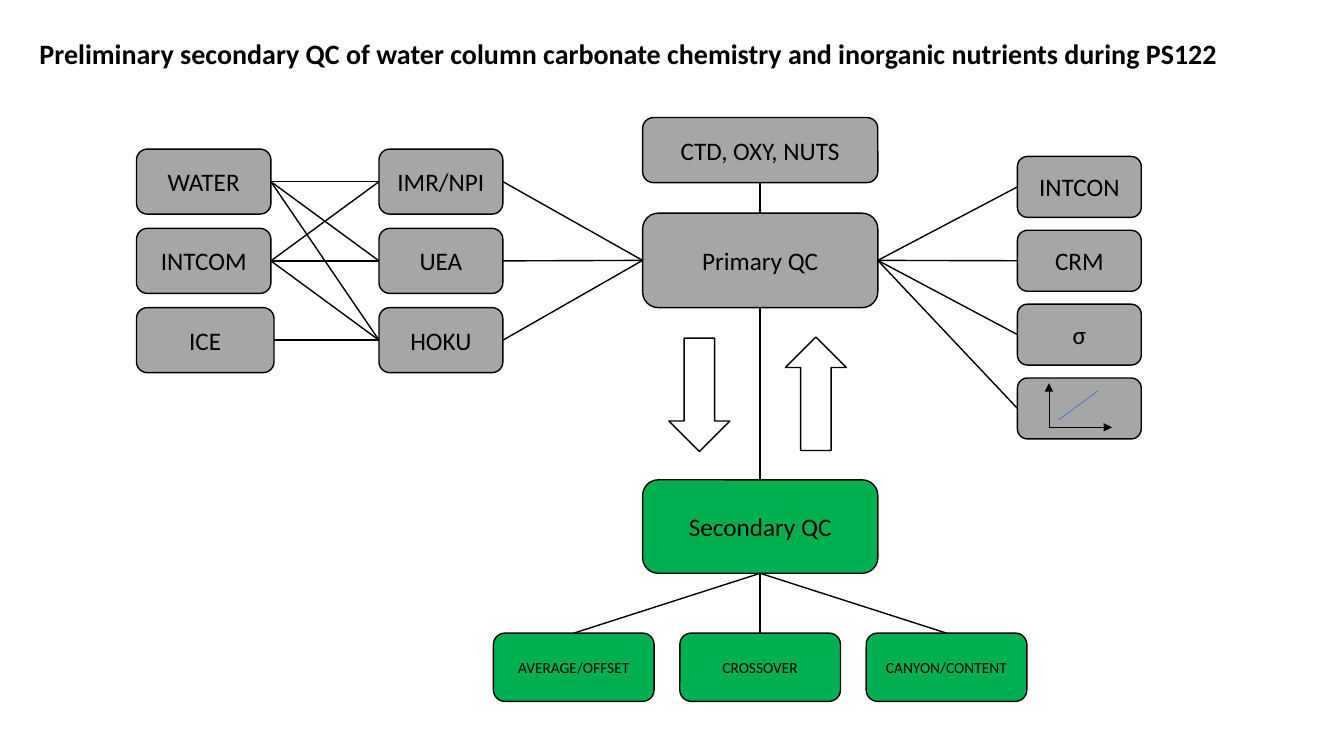
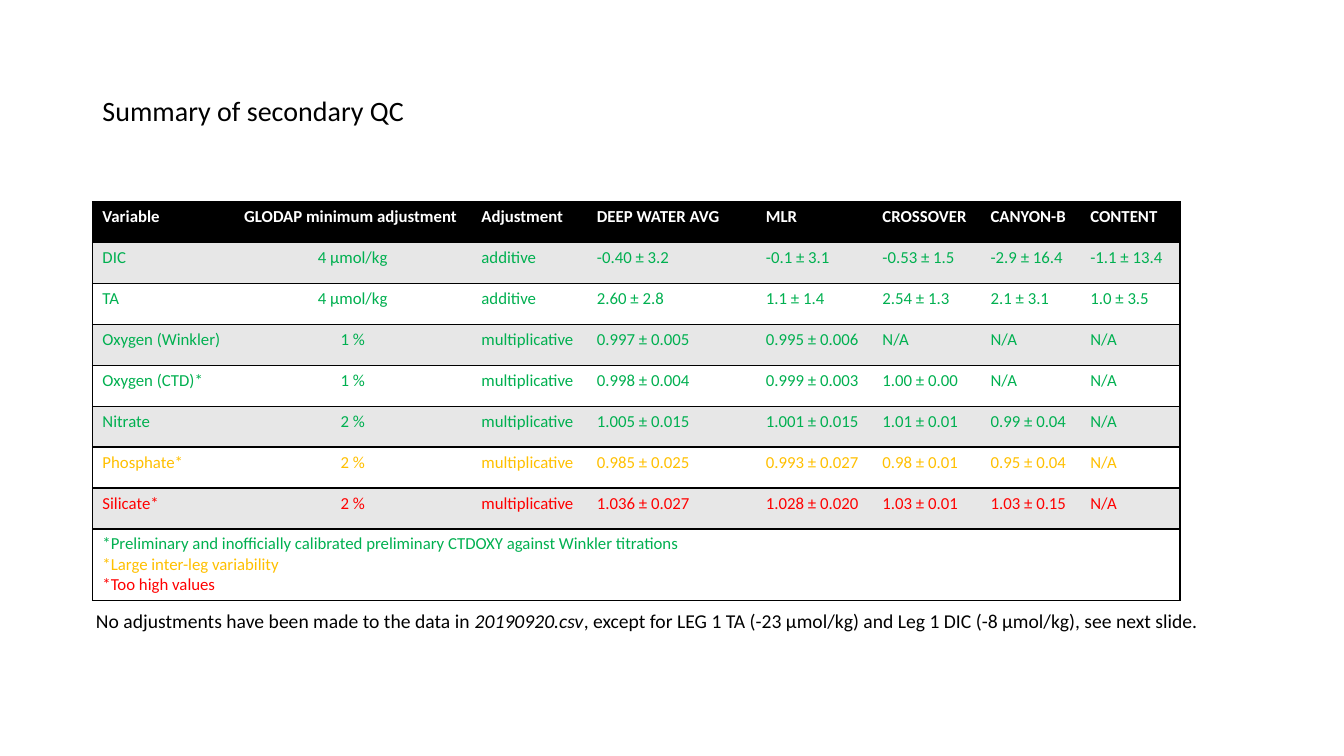
from dataclasses import dataclass
from lxml import etree
from pptx import Presentation
from pptx.dml.color import RGBColor
from pptx.enum.shapes import MSO_CONNECTOR, MSO_SHAPE
from pptx.enum.text import MSO_ANCHOR, MSO_AUTO_SIZE, PP_ALIGN
from pptx.oxml.ns import qn
from pptx.util import Emu, Pt

ROUND, ARROW = MSO_SHAPE.ROUNDED_RECTANGLE, MSO_SHAPE.RIGHT_ARROW
STRAIGHT = MSO_CONNECTOR.STRAIGHT
MIDDLE = MSO_ANCHOR.MIDDLE
LEFT, CENTER = PP_ALIGN.LEFT, PP_ALIGN.CENTER
FIXED, GROW = MSO_AUTO_SIZE.NONE, MSO_AUTO_SIZE.SHAPE_TO_FIT_TEXT
TOP, WEST, BOTTOM, EAST = range(4)
SCALE = 9525


@dataclass(frozen=True)
class Theme:
    font: str = "Calibri"
    black: str = "000000"
    white: str = "FFFFFF"
    gray: str = "A6A6A6"
    band: str = "E7E7E7"
    green: str = "00B050"
    amber: str = "FFC000"
    red: str = "FF0000"
    blue: str = "4472C4"
    head: int = 20
    label: int = 18
    note: int = 14
    cell: int = 12
    small: int = 11
    line: float = 1
    thin: float = 0.5


T = Theme()

SOURCES = [("WATER", 128), ("INTCOM", 128), ("ICE", 131)]
LABS = [("IMR/NPI", 118), ("UEA", 118), ("HOKU", 118)]
CHECKS = [("INTCON", 118), ("CRM", 118), ("σ", 118), ("", 118)]
TESTS = ["AVERAGE/OFFSET", "CROSSOVER", "CANYON/CONTENT"]
PAIRS = [(0, 0), (0, 1), (0, 2), (1, 0), (1, 1), (1, 2), (2, 2)]

COLS = [135, 226, 110, 161, 111, 103, 95, 95]
ROWS = [
    (T.white, ["Variable", "GLODAP minimum adjustment", "Adjustment", "DEEP WATER AVG",
               "MLR", "CROSSOVER", "CANYON-B", "CONTENT"]),
    (T.green, ["DIC", "4 µmol/kg", "additive", "-0.40 ± 3.2",
               "-0.1 ± 3.1", "-0.53 ± 1.5", "-2.9 ± 16.4", "-1.1 ± 13.4"]),
    (T.green, ["TA", "4 µmol/kg", "additive", "2.60 ± 2.8",
               "1.1 ± 1.4", "2.54 ± 1.3", "2.1 ± 3.1", "1.0 ± 3.5"]),
    (T.green, ["Oxygen (Winkler)", "1 %", "multiplicative", "0.997 ± 0.005",
               "0.995 ± 0.006", "N/A", "N/A", "N/A"]),
    (T.green, ["Oxygen (CTD)*", "1 %", "multiplicative", "0.998 ± 0.004",
               "0.999 ± 0.003", "1.00 ± 0.00", "N/A", "N/A"]),
    (T.green, ["Nitrate", "2 %", "multiplicative", "1.005 ± 0.015",
               "1.001 ± 0.015", "1.01 ± 0.01", "0.99 ± 0.04", "N/A"]),
    (T.amber, ["Phosphate*", "2 %", "multiplicative", "0.985 ± 0.025",
               "0.993 ± 0.027", "0.98 ± 0.01", "0.95 ± 0.04", "N/A"]),
    (T.red, ["Silicate*", "2 %", "multiplicative", "1.036 ± 0.027",
             "1.028 ± 0.020", "1.03 ± 0.01", "1.03 ± 0.15", "N/A"]),
]
NOTES = [
    (T.green, "*Preliminary and inofficially calibrated preliminary CTDOXY against Winkler titrations"),
    (T.amber, "*Large inter-leg variability"),
    (T.red, "*Too high values"),
]


def px(n):
    return Emu(round(n * SCALE))


def rgb(code):
    return RGBColor.from_string(code)


def write(para, text, size, color=T.black, bold=False, italic=False):
    run = para.add_run()
    run.text = text
    font = run.font
    font.name, font.size = T.font, Pt(size)
    font.bold, font.italic = bold, italic
    font.color.rgb = rgb(color)


def title(slide, box, text, bold=False):
    shape = slide.shapes.title
    shape.left, shape.top, shape.width, shape.height = map(px, box)
    frame = shape.text_frame
    frame.word_wrap, frame.auto_size = True, FIXED
    frame.vertical_anchor = MIDDLE
    para = frame.paragraphs[0]
    para.alignment, para.line_spacing = LEFT, 0.9
    write(para, text, T.head, bold=bold)


def block(slide, box, fill, text="", size=T.label, kind=ROUND):
    shape = slide.shapes.add_shape(kind, *map(px, box))
    shape.shadow.inherit = False
    shape.fill.solid()
    shape.fill.fore_color.rgb = rgb(fill)
    shape.line.color.rgb = rgb(T.black)
    shape.line.width = Pt(T.line)
    if text:
        frame = shape.text_frame
        frame.word_wrap, frame.vertical_anchor = True, MIDDLE
        para = frame.paragraphs[0]
        para.alignment = CENTER
        write(para, text, size)
    return shape


def wire(shapes, ends=(0, 0, 0, 0), color=T.black, width=T.line, tip=False):
    line = shapes.add_connector(STRAIGHT, *map(px, ends))
    line.line.color.rgb = rgb(color)
    line.line.width = Pt(width)
    if tip:
        etree.SubElement(line.line._get_or_add_ln(), qn("a:tailEnd"), type="triangle")
    etree.SubElement(line._element.spPr, qn("a:effectLst"))
    return line


def link(slide, start, side, stop, face):
    line = wire(slide.shapes)
    line.begin_connect(start, side)
    line.end_connect(stop, face)


def stack(slide, box, high, items):
    x, y, tall = box
    step = (tall - high) / (len(items) - 1)
    return [block(slide, (x, y + i * step, wide, high), T.gray, text)
            for i, (text, wide) in enumerate(items)]


def tests(slide, box, wide):
    x, y, span, high = box
    step = (span - wide) / (len(TESTS) - 1)
    return [block(slide, (x + i * step, y, wide, high), T.green, text, T.small)
            for i, text in enumerate(TESTS)]


def plot(slide, x, y):
    shapes = slide.shapes.add_group_shape().shapes
    wire(shapes, (x, y, x + 60, y), width=T.thin, tip=True)
    wire(shapes, (x, y, x, y - 42), width=T.thin, tip=True)
    wire(shapes, (x + 9, y - 7, x + 47, y - 35), T.blue, T.thin)


def flow(slide):
    title(slide, (28, -17, 1232, 139),
          "Preliminary secondary QC of water column carbonate chemistry "
          "and inorganic nutrients during PS122", True)
    x, wide = 612, 224
    casts = block(slide, (x, 112, wide, 62), T.gray, "CTD, OXY, NUTS")
    first = block(slide, (x, 203, wide, 90), T.gray, "Primary QC")
    second = block(slide, (x, 457, wide, 89), T.green, "Secondary QC")
    link(slide, casts, BOTTOM, first, TOP)
    link(slide, second, TOP, first, BOTTOM)

    sources = stack(slide, (130, 142, 213), 62, SOURCES)
    labs = stack(slide, (361, 142, 213), 62, LABS)
    for a, b in PAIRS:
        link(slide, sources[a], EAST, labs[b], WEST)
    for lab in labs:
        link(slide, lab, EAST, first, WEST)

    for check in stack(slide, (969, 149, 269), 58, CHECKS):
        link(slide, check, WEST, first, EAST)
    plot(slide, 999, 407)

    for test in tests(slide, (470, 603, 508, 65), 153):
        link(slide, second, BOTTOM, test, TOP)
    for left, top, turn in ((612, 347, 90), (723, 346, 270)):
        block(slide, (left, top, 108, 58), T.white, kind=ARROW).rotation = turn


def paint(cell, fill, sides):
    cell.fill.solid()
    cell.fill.fore_color.rgb = rgb(fill)
    props = cell._tc.get_or_add_tcPr()
    for i, side in enumerate("LRTB"):
        edge = etree.Element(qn("a:ln" + side), w=str(Pt(T.line)))
        if side in sides:
            ink = etree.SubElement(edge, qn("a:solidFill"))
            etree.SubElement(ink, qn("a:srgbClr"), val=T.black)
        else:
            etree.SubElement(edge, qn("a:noFill"))
        props.insert(i, edge)


def grid(slide, x, y, high, foot):
    count, last = len(ROWS), len(COLS) - 1
    size = (sum(COLS), count * high + foot)
    table = slide.shapes.add_table(count + 1, last + 1, *map(px, (x, y, *size))).table
    table.first_row = table.horz_banding = False
    for col, wide in zip(table.columns, COLS):
        col.width = px(wide)
    for r, row in enumerate(table.rows):
        row.height = px(high if r < count else foot)
        fill = T.black if r == 0 else T.band if r % 2 and r < count else T.white
        for c, cell in enumerate(row.cells):
            sides = "TB" + "L" * (c == 0) + "R" * (c == last or r == count)
            paint(cell, fill, sides)
    for r, (color, texts) in enumerate(ROWS):
        for c, text in enumerate(texts):
            para = table.cell(r, c).text_frame.paragraphs[0]
            para.alignment = CENTER if r and c == 1 else LEFT
            write(para, text, T.cell, color, bold=r == 0)
    cell = table.cell(count, 0)
    cell.merge(table.cell(count, last))
    frame = cell.text_frame
    for i, (color, text) in enumerate(NOTES):
        para = frame.add_paragraph() if i else frame.paragraphs[0]
        write(para, text, T.cell, color)


def remark(slide, box):
    frame = slide.shapes.add_textbox(*map(px, box)).text_frame
    frame.word_wrap, frame.auto_size = False, GROW
    para = frame.paragraphs[0]
    write(para, "No adjustments have been made to the data in ", T.note)
    write(para, "20190920.csv", T.note, italic=True)
    write(para, ", except for LEG 1 TA (-23 µmol/kg) and Leg 1 DIC (-8 µmol/kg), "
          "see next slide.", T.note)


def summary(slide):
    title(slide, (88, 38, 1104, 139), "Summary of secondary QC")
    grid(slide, 88, 192, 39, 68)
    remark(slide, (82, 575, 1077, 32))


def main():
    deck = Presentation()
    deck.slide_width, deck.slide_height = px(1280), px(720)
    for build in (flow, summary):
        build(deck.slides.add_slide(deck.slide_layouts[5]))
    deck.save("out.pptx")


if __name__ == "__main__":
    main()
